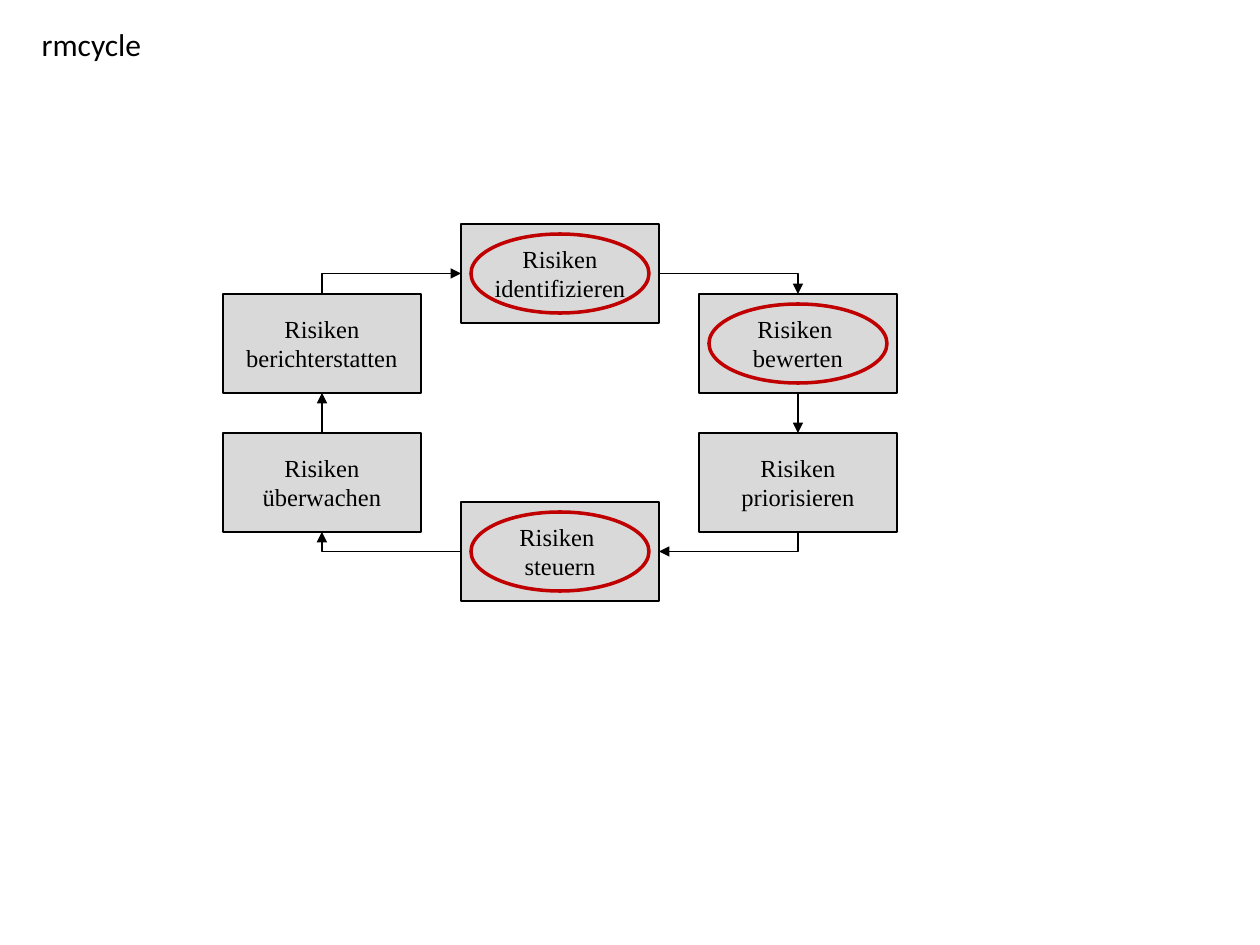
from pptx import Presentation, util as u
from pptx.dml.color import RGBColor
from pptx.enum import shapes, text
from pptx.oxml import parse_xml
from pptx.oxml.ns import nsdecls, qn

PIXEL = 914400 / 126
THEME = {
    "ink": RGBColor.from_string("000000"),
    "box": RGBColor.from_string("D9D9D9"),
    "mark": RGBColor.from_string("C00000"),
    "title_font": "Calibri", "title_size": u.Pt(18),
    "box_font": "Times New Roman", "box_size": u.Pt(14),
    "line": u.Pt(0.75), "mark_line": u.Pt(2),
}
TITLE = "rmcycle"
COLUMNS = (223, 461, 699)
ROWS = (224, 294, 433, 502)
BOX_WIDTH, BOX_HEIGHT, MARK_INSET = 198, 99, 10
TOP, LEFT, BOTTOM, RIGHT = range(4)

STEPS = {
    "identify": ("Risiken identifizieren", 1, 0, True),
    "assess": ("Risiken \nbewerten", 2, 1, True),
    "prioritise": ("Risiken priorisieren", 2, 2, False),
    "control": ("Risiken \nsteuern", 1, 3, True),
    "monitor": ("Risiken überwachen", 0, 2, False),
    "report": ("Risiken berichterstatten", 0, 1, False),
}
ARROWS = [
    ("identify", RIGHT, "assess", TOP),
    ("assess", BOTTOM, "prioritise", TOP),
    ("prioritise", BOTTOM, "control", RIGHT),
    ("control", LEFT, "monitor", BOTTOM),
    ("monitor", TOP, "report", BOTTOM),
    ("report", TOP, "identify", LEFT),
]


def px(*values):
    return [u.Emu(round(value * PIXEL)) for value in values]


def format_text(frame, font, size, align):
    for para in frame.paragraphs:
        para.alignment = align
        for span in para.runs:
            span.font.name = font
            span.font.size = size
            span.font.color.rgb = THEME["ink"]


def set_line(shape, color, width):
    shape.line.color.rgb = color
    shape.line.width = width


def add_shape(kind, left, top, width, height):
    shape = page.shapes.add_shape(kind, *px(left, top, width, height))
    shape.shadow.inherit = False
    return shape


def add_step(label, column, row):
    box = add_shape(shapes.MSO_SHAPE.RECTANGLE, COLUMNS[column], ROWS[row], BOX_WIDTH, BOX_HEIGHT)
    box.fill.solid()
    box.fill.fore_color.rgb = THEME["box"]
    set_line(box, THEME["ink"], THEME["line"])
    frame = box.text_frame
    frame.text = label
    frame.word_wrap = True
    frame.vertical_anchor = text.MSO_ANCHOR.MIDDLE
    format_text(frame, THEME["box_font"], THEME["box_size"], text.PP_ALIGN.CENTER)
    return box


def add_mark(column, row):
    mark = add_shape(shapes.MSO_SHAPE.OVAL, COLUMNS[column] + MARK_INSET, ROWS[row] + MARK_INSET,
                     BOX_WIDTH - 2 * MARK_INSET, BOX_HEIGHT - 2 * MARK_INSET)
    mark.fill.background()
    set_line(mark, THEME["mark"], THEME["mark_line"])


def turn_quarter(arrow):
    dx, dy = arrow.end_x - arrow.begin_x, arrow.end_y - arrow.begin_y
    middle_x, middle_y = arrow.begin_x + dx / 2, arrow.begin_y + dy / 2
    arrow.begin_x, arrow.begin_y = round(middle_x - dy / 2), round(middle_y + dx / 2)
    arrow.end_x, arrow.end_y = round(middle_x + dy / 2), round(middle_y - dx / 2)
    arrow._element.spPr.find(qn("a:xfrm")).set("rot", "5400000")


def add_arrow(start, start_site, end, end_site):
    bent = (start_site - end_site) % 2 == 1
    kind = shapes.MSO_CONNECTOR.ELBOW if bent else shapes.MSO_CONNECTOR.STRAIGHT
    arrow = page.shapes.add_connector(kind, 0, 0, 0, 0)
    arrow.begin_connect(boxes[start], start_site)
    arrow.end_connect(boxes[end], end_site)
    properties = arrow._element.spPr
    if bent:
        properties.find(qn("a:prstGeom")).set("prst", "bentConnector2")
        if start_site in (TOP, BOTTOM):
            turn_quarter(arrow)
    set_line(arrow, THEME["ink"], THEME["line"])
    properties.find(qn("a:ln")).append(parse_xml(f'<a:tailEnd {nsdecls("a")} type="triangle"/>'))
    properties.append(parse_xml(f'<a:effectLst {nsdecls("a")}/>'))


deck = Presentation()
deck.slide_width, deck.slide_height = u.Inches(10), u.Inches(7.5)
page = deck.slides.add_slide(deck.slide_layouts.get_by_name("Title Only"))

title = page.shapes.title
title.left, title.top, title.width, title.height = px(29, 19, 126, 51)
frame = title.text_frame
frame.text = TITLE
frame.word_wrap = False
frame.auto_size = text.MSO_AUTO_SIZE.SHAPE_TO_FIT_TEXT
frame.vertical_anchor = text.MSO_ANCHOR.TOP
format_text(frame, THEME["title_font"], THEME["title_size"], text.PP_ALIGN.LEFT)

boxes = {name: add_step(label, column, row) for name, (label, column, row, _) in STEPS.items()}
for link in ARROWS:
    add_arrow(*link)
for _, column, row, marked in STEPS.values():
    if marked:
        add_mark(column, row)

deck.save("out.pptx")
